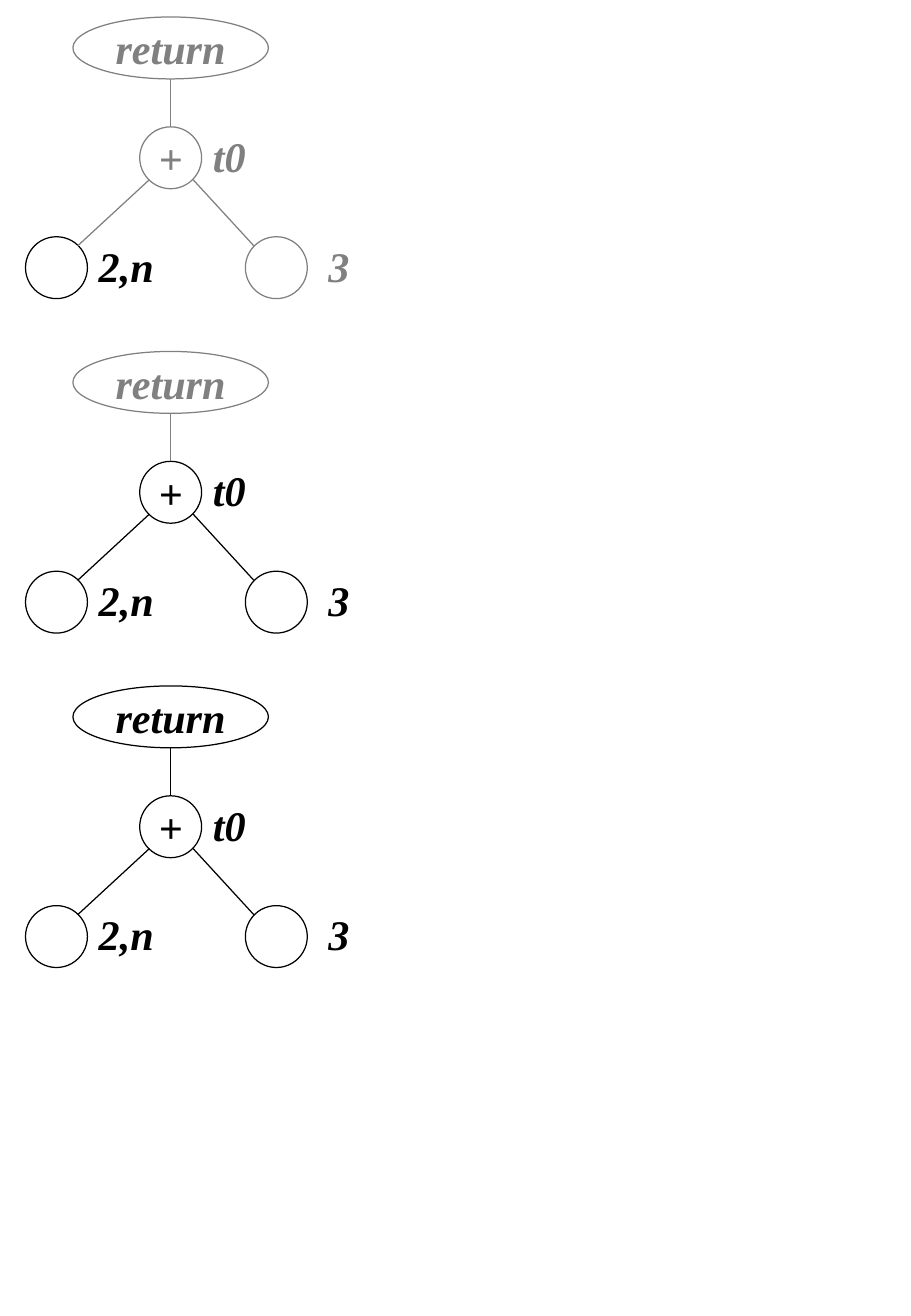
from lxml import etree
from pptx import Presentation
from pptx import util as u
from pptx.dml.color import RGBColor
from pptx.enum import shapes, text
from pptx.oxml.ns import qn

COLORS = {"active": "000000", "waiting": "808080"}
FONT = "Times New Roman"
CELL = 0.1
TREE_ROWS = 27.55
LEVEL_ROWS = 9.05
NODE = 5.1
ROOT_WIDTH = 16.1
LABEL_HEIGHT = 4.7
ROOT_ROW = 1.4
CENTER = 14.05

STAGES = [
    {"leaf": "active", "other": "waiting", "root": "waiting"},
    {"leaf": "active", "other": "active", "root": "waiting"},
    {"leaf": "active", "other": "active", "root": "active"},
]


def grid(cells):
    return u.Inches(cells * CELL)


def rgb(name):
    return RGBColor.from_string(COLORS[name])


def write(box, words, color, align, side_inset):
    frame = box.text_frame
    frame.word_wrap = False
    frame.vertical_anchor = text.MSO_ANCHOR.MIDDLE
    frame.margin_left = frame.margin_right = grid(side_inset)
    frame.margin_top = frame.margin_bottom = grid(0.5)
    para = frame.paragraphs[0]
    para.alignment = align
    span = para.add_run()
    span.text = words
    span.font.name = FONT
    span.font.size = u.Pt(25)
    span.font.bold = span.font.italic = True
    span.font.color.rgb = rgb(color)


def add_box(page, kind, column, row, width, height):
    box = page.shapes.add_shape(kind, *map(grid, (column, row, width, height)))
    box.shadow.inherit = False
    box.fill.background()
    return box


def add_node(page, column, row, color, width=NODE, words=""):
    node = add_box(page, shapes.MSO_SHAPE.OVAL, column, row, width, NODE)
    node.line.color.rgb = rgb(color)
    node.line.width = u.Pt(0.75)
    if words:
        write(node, words, color, text.PP_ALIGN.CENTER, 1)


def add_label(page, words, column, row, width, color):
    label = add_box(page, shapes.MSO_SHAPE.ROUNDED_RECTANGLE,
                    column, row, width, LABEL_HEIGHT)
    label.line.fill.background()
    write(label, words, color, text.PP_ALIGN.LEFT, 1.1)


def add_edge(page, start, end, color):
    edge = page.shapes.add_connector(
        shapes.MSO_CONNECTOR.STRAIGHT, *map(grid, start + end))
    edge.line.color.rgb = rgb(color)
    edge.line.width = u.Pt(0.75)
    etree.SubElement(edge._element.spPr, qn("a:effectLst"))


def add_tree(page, root_row, leaf, other, root):
    plus_row = root_row + LEVEL_ROWS
    leaf_row = plus_row + LEVEL_ROWS
    add_label(page, "2,n", 6.8, leaf_row, 5.5, leaf)
    add_node(page, 2.1, leaf_row, leaf)
    add_node(page, 20.2, leaf_row, other)
    add_label(page, "3", 25.7, leaf_row, 5.5, other)
    add_node(page, CENTER - NODE / 2, plus_row, other, words="+")
    add_label(page, "t0", 16.2, plus_row, 9.8, other)
    for start, end in ((12.3, 6.4), (15.9, 20.9)):
        add_edge(page, (start, plus_row + 4.35), (end, leaf_row + 0.75), other)
    add_node(page, CENTER - ROOT_WIDTH / 2, root_row, root,
             width=ROOT_WIDTH, words="return")
    add_edge(page, (CENTER, root_row + NODE), (CENTER, plus_row), root)


def main():
    deck = Presentation()
    deck.slide_width = u.Inches(7.5)
    deck.slide_height = u.Inches(10.84)
    page = deck.slides.add_slide(deck.slide_layouts[6])
    for index, stage in enumerate(STAGES):
        add_tree(page, ROOT_ROW + index * TREE_ROWS, **stage)
    deck.save("out.pptx")


if __name__ == "__main__":
    main()
